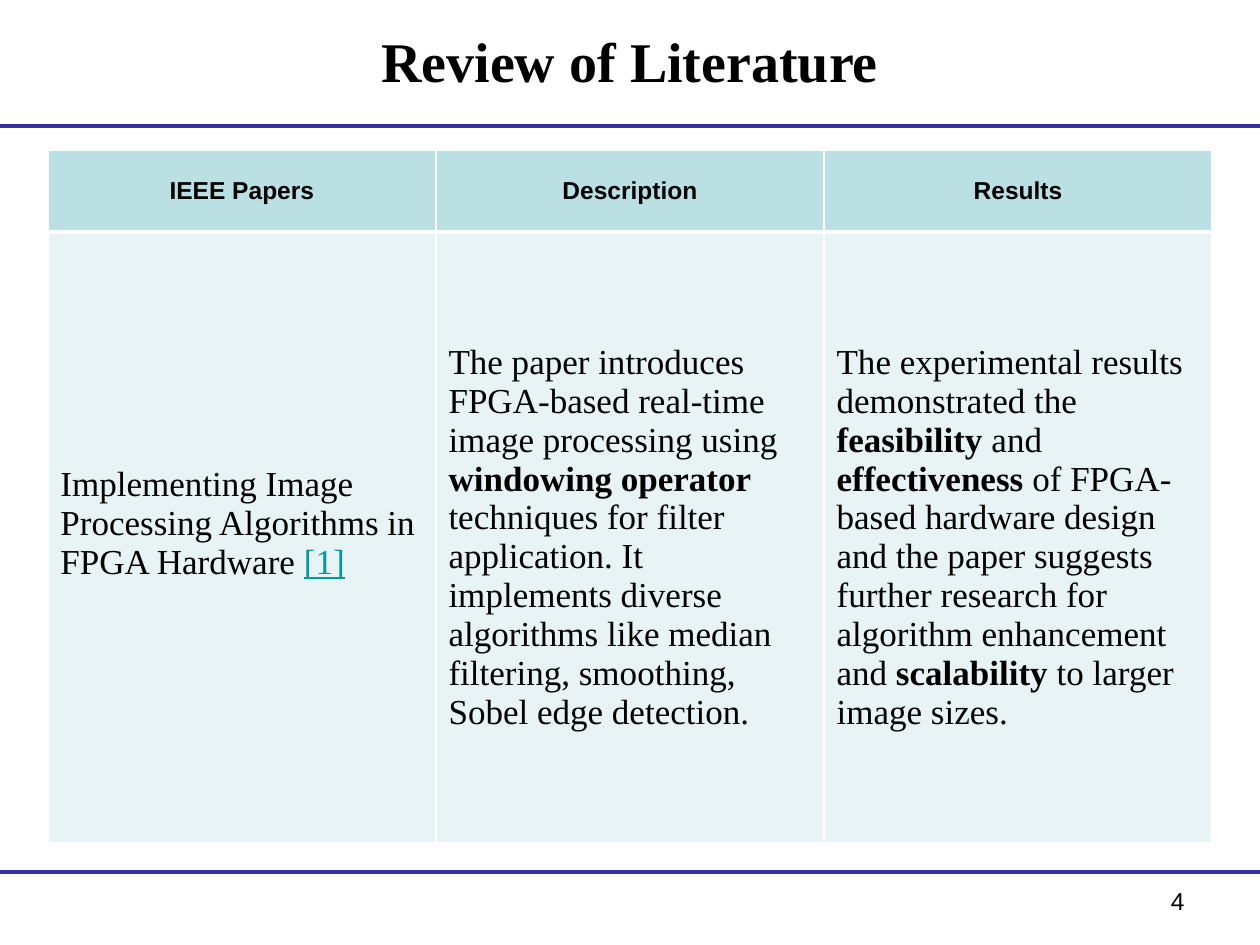
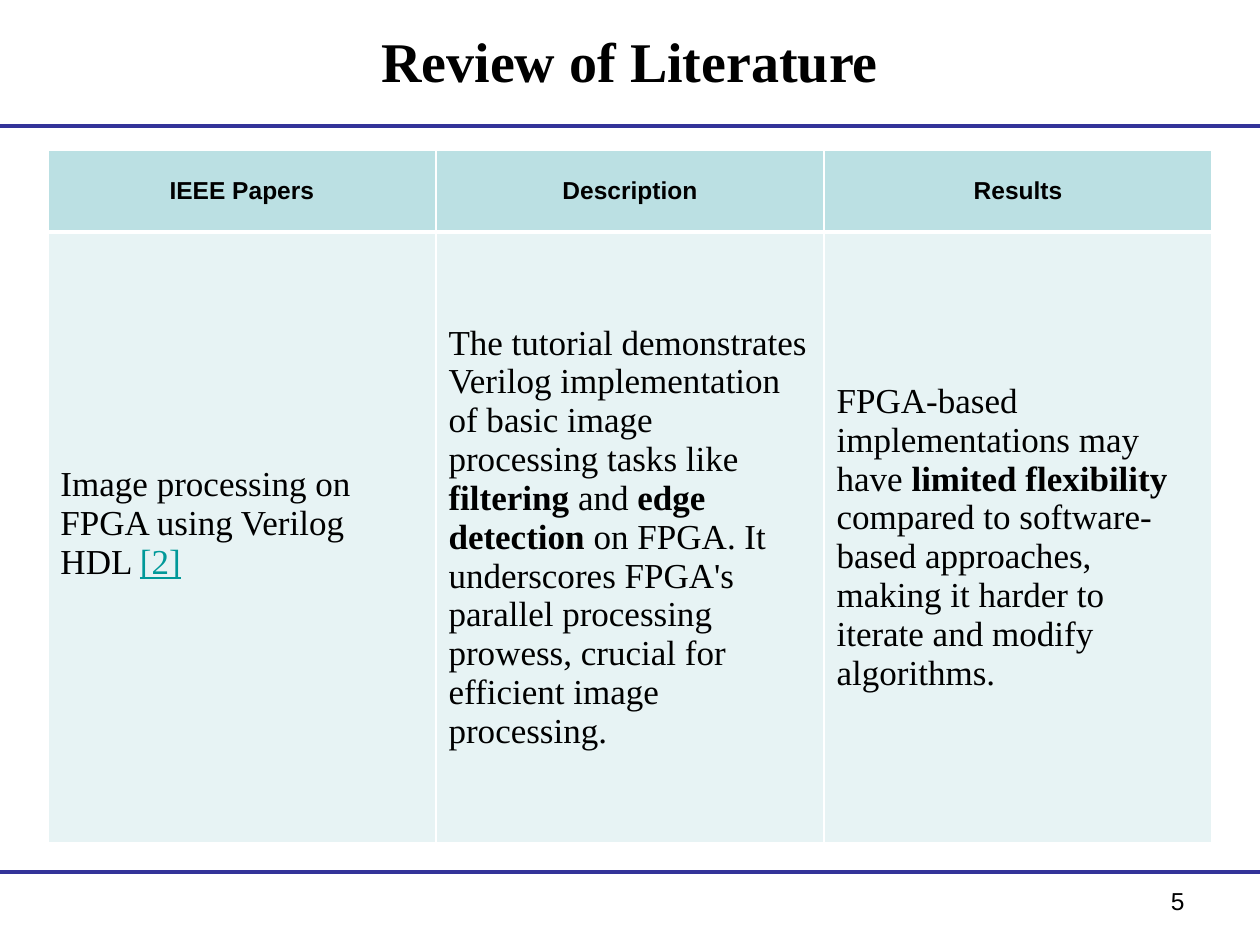
"""Builds two literature review slides with a ruled title and a table of papers."""
from lxml import etree
from pptx import Presentation
from pptx.dml.color import RGBColor
from pptx.enum.shapes import MSO_CONNECTOR
from pptx.enum.text import MSO_ANCHOR, PP_ALIGN
from pptx.oxml.ns import qn
from pptx.util import Inches, Pt

STRAIGHT = MSO_CONNECTOR.STRAIGHT
MIDDLE = MSO_ANCHOR.MIDDLE
LEFT, CENTER, RIGHT = PP_ALIGN.LEFT, PP_ALIGN.CENTER, PP_ALIGN.RIGHT

COLORS = {"rule": "333399", "text": "000000", "cite": "009999",
          "head": "BBE0E3", "body": "E7F3F4", "border": "FFFFFF"}
SERIF, SANS = "Times New Roman", "Arial"
TITLE_ONLY = 5
SLIDE_W, SLIDE_H = 10, 7.5
RULES_Y = (1, 6.92)
COL_W, ROW_H = 3.08, (0.65, 4.85)
FIRST_NUMBER = 4
MARK = "*"
TITLE = "Review of Literature"
HEADERS = ("IEEE Papers", "Description", "Results")

PAPERS = [
    (["Implementing Image Processing Algorithms in", "FPGA Hardware *[1]*"],
     ["The paper introduces FPGA-based real-time image processing using "
      "*windowing operator *techniques for filter application. It implements "
      "diverse algorithms like median filtering, smoothing, Sobel edge detection."],
     ["The experimental results demonstrated the *feasibility* and *effectiveness* "
      "of FPGA-based hardware design and the paper suggests further research for "
      "algorithm enhancement and *scalability* to larger image sizes."]),
    (["Image processing on FPGA using Verilog HDL *[2]*"],
     ["The tutorial demonstrates Verilog implementation of basic image processing "
      "tasks like *filtering* and *edge detection *on FPGA. It underscores FPGA's "
      "parallel processing prowess, crucial for efficient image processing."],
     ["FPGA-based implementations may have *limited flexibility *compared to "
      "software-based approaches, making it harder to iterate and modify algorithms."]),
]


def rgb(name):
    return RGBColor.from_string(COLORS[name])


def add_text(tf, paragraphs, size, font=SERIF, bold=False, align=LEFT):
    tf.word_wrap = True
    for i, text in enumerate(paragraphs):
        p = tf.paragraphs[0] if i == 0 else tf.add_paragraph()
        p.alignment = align
        for j, part in enumerate(text.split(MARK)):
            if not part:
                continue
            marked = j % 2 == 1
            cite = marked and part.startswith("[")
            r = p.add_run()
            r.text = part
            r.font.name, r.font.size = font, Pt(size)
            r.font.bold = bold or (marked and not cite)
            r.font.underline = cite
            r.font.color.rgb = rgb("cite" if cite else "text")


class Deck:
    def __init__(self):
        self.prs = Presentation()
        self.prs.slide_width, self.prs.slide_height = Inches(SLIDE_W), Inches(SLIDE_H)
        self.s = None

    def new_slide(self, number):
        self.s = self.prs.slides.add_slide(self.prs.slide_layouts[TITLE_ONLY])
        for y in RULES_Y:
            self.rule(y)
        self.title(TITLE)
        self.page_number(number)

    def rule(self, y):
        line = self.s.shapes.add_connector(
            STRAIGHT, Inches(0), Inches(y), Inches(SLIDE_W), Inches(y))
        line.line.color.rgb = rgb("rule")
        line.line.width = Pt(2.25)
        etree.SubElement(line._element.spPr, qn("a:effectLst"))

    def title(self, text):
        sp = self.s.shapes.title
        sp.left, sp.top = Inches(0.5), Inches(0.13)
        sp.width, sp.height = Inches(9), Inches(0.7)
        sp.text_frame.vertical_anchor = MIDDLE
        add_text(sp.text_frame, [text], 32, bold=True, align=CENTER)

    def page_number(self, number):
        sp = self.s.shapes.add_textbox(
            Inches(7.17), Inches(6.98), Inches(2.33), Inches(0.52))
        add_text(sp.text_frame, [str(number)], 14, SANS, align=RIGHT)

    def borders(self, cell, bottom):
        tcPr = cell._tc.get_or_add_tcPr()
        widths = {"lnL": 1, "lnR": 1, "lnT": 1, "lnB": bottom}
        for i, (side, width) in enumerate(widths.items()):
            ln = etree.Element(qn("a:" + side), w=str(Pt(width)))
            fill = etree.SubElement(ln, qn("a:solidFill"))
            etree.SubElement(fill, qn("a:srgbClr"), val=COLORS["border"])
            tcPr.insert(i, ln)

    def cell(self, cell, paragraphs, fill, bottom=1, **style):
        cell.vertical_anchor = MIDDLE
        cell.fill.solid()
        cell.fill.fore_color.rgb = rgb(fill)
        self.borders(cell, bottom)
        add_text(cell.text_frame, paragraphs, **style)

    def table(self, paper):
        n = len(HEADERS)
        table = self.s.shapes.add_table(
            len(ROW_H), n, Inches(0.38), Inches(1.19),
            Inches(COL_W * n), Inches(sum(ROW_H))).table
        for row, height in zip(table.rows, ROW_H):
            row.height = Inches(height)
        for c, (header, text) in enumerate(zip(HEADERS, paper)):
            table.columns[c].width = Inches(COL_W)
            self.cell(table.cell(0, c), [header], "head", bottom=3,
                      size=14, font=SANS, bold=True, align=CENTER)
            self.cell(table.cell(1, c), text, "body", size=20)
        table.cell(1, 0).margin_bottom = Inches(0.27)


def main():
    deck = Deck()
    for number, paper in enumerate(PAPERS, FIRST_NUMBER):
        deck.new_slide(number)
        deck.table(paper)
    deck.prs.save("out.pptx")


if __name__ == "__main__":
    main()
